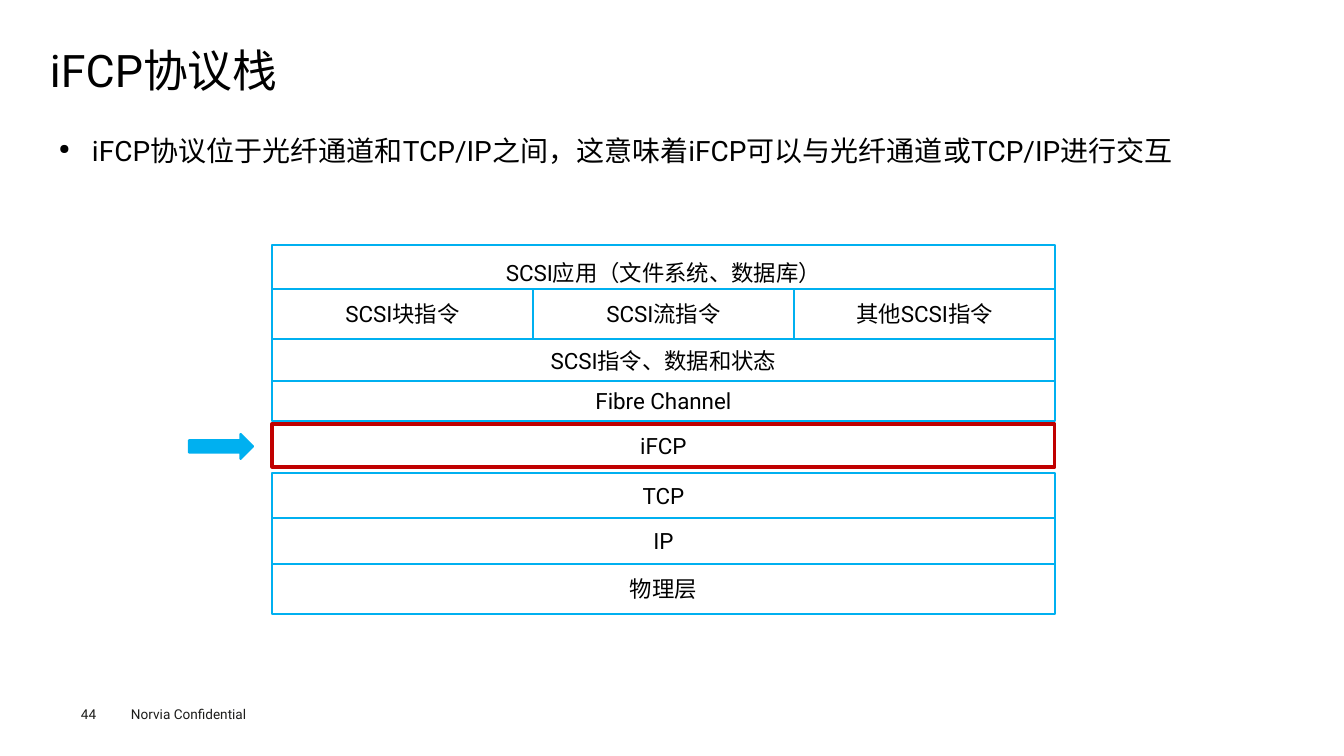
from lxml.etree import SubElement
from pptx import Presentation
from pptx.dml.color import RGBColor
from pptx.enum.shapes import MSO_SHAPE
from pptx.enum.text import MSO_ANCHOR, PP_ALIGN
from pptx.oxml.ns import qn
from pptx.util import Emu, Pt

TITLE = "iFCP协议栈"
BULLET = "iFCP协议位于光纤通道和TCP/IP之间，这意味着iFCP可以与光纤通道或TCP/IP进行交互"
PAGE = "44"
FOOTER = "Norvia Confidential"
LAYERS = [
    (245, 44, ["SCSI应用（文件系统、数据库）"]),
    (289, 50, ["SCSI块指令", "SCSI流指令", "其他SCSI指令"]),
    (339, 43, ["SCSI指令、数据和状态"]),
    (381, 40, ["Fibre Channel"]),
    (424, 43, ["iFCP"]),
    (473, 45, ["TCP"]),
    (518, 46, ["IP"]),
    (564, 50, ["物理层"]),
]
HIGHLIGHT = "iFCP"
STACK_LEFT, STACK_WIDTH = 272, 783
FONT = "Roboto"
BLACK, GREY, WHITE, BLUE, RED = "000000", "1D1D1B", "FFFFFF", "00B0F0", "C00000"


def px(n):
    return Emu(round(n * 914400 / 100.8))


def rgb(color):
    return RGBColor.from_string(color)


def write(sp, text, size, color=BLACK, inset=(0, 0), align=PP_ALIGN.LEFT, anchor=MSO_ANCHOR.TOP):
    tf = sp.text_frame
    tf.word_wrap = True
    tf.margin_left = tf.margin_right = px(inset[0])
    tf.margin_top = tf.margin_bottom = px(inset[1])
    tf.vertical_anchor = anchor
    p = tf.paragraphs[0]
    p.text = text
    p.alignment = align
    font = p.runs[0].font
    font.name, font.size, font.color.rgb = FONT, Pt(size), rgb(color)
    return p


def add_text(box, text, size, **style):
    return write(s.shapes.add_textbox(*map(px, box)), text, size, **style)


def add_block(kind, box, fill, line, width=1.5):
    sp = s.shapes.add_shape(kind, *map(px, box))
    sp.shadow.inherit = False
    sp.fill.solid()
    sp.fill.fore_color.rgb = rgb(fill)
    sp.line.color.rgb = rgb(line)
    sp.line.width = Pt(width)
    return sp


prs = Presentation()
prs.slide_width, prs.slide_height = px(1344), px(756)
s = prs.slides.add_slide(prs.slide_layouts[6])

add_text((121, 701, 161, 27), FOOTER, 9.7, color=GREY, inset=(10, 5))
add_text((81, 706, 55, 16), PAGE, 9.7, color=GREY)
add_text((50, 49, 1245, 53), TITLE, 32).line_spacing = 0.9

p = add_text((50, 116, 1245, 538), BULLET, 20, inset=(9, 4), align=PP_ALIGN.JUSTIFY)
p.line_spacing = 1.4
p.space_before = Pt(7.9)
pPr = p._p.get_or_add_pPr()
pPr.set("marL", str(px(33)))
pPr.set("indent", str(-px(33)))
SubElement(pPr, qn("a:buSzPct")).set("val", "50000")
SubElement(pPr, qn("a:buChar")).set("char", "●")

for top, height, labels in LAYERS:
    width = STACK_WIDTH / len(labels)
    for i, label in enumerate(labels):
        line, weight = (RED, 2.25) if label == HIGHLIGHT else (BLUE, 1.5)
        box = (STACK_LEFT + i * width, top, width, height)
        sp = add_block(MSO_SHAPE.RECTANGLE, box, WHITE, line, weight)
        p = write(sp, label, 16, align=PP_ALIGN.CENTER, anchor=MSO_ANCHOR.MIDDLE)
        if top == LAYERS[0][0]:
            p.line_spacing = 1.4
            p.space_before = Pt(8)

add_block(MSO_SHAPE.RIGHT_ARROW, (189, 434, 64, 25), BLUE, BLUE)

prs.save("out.pptx")
